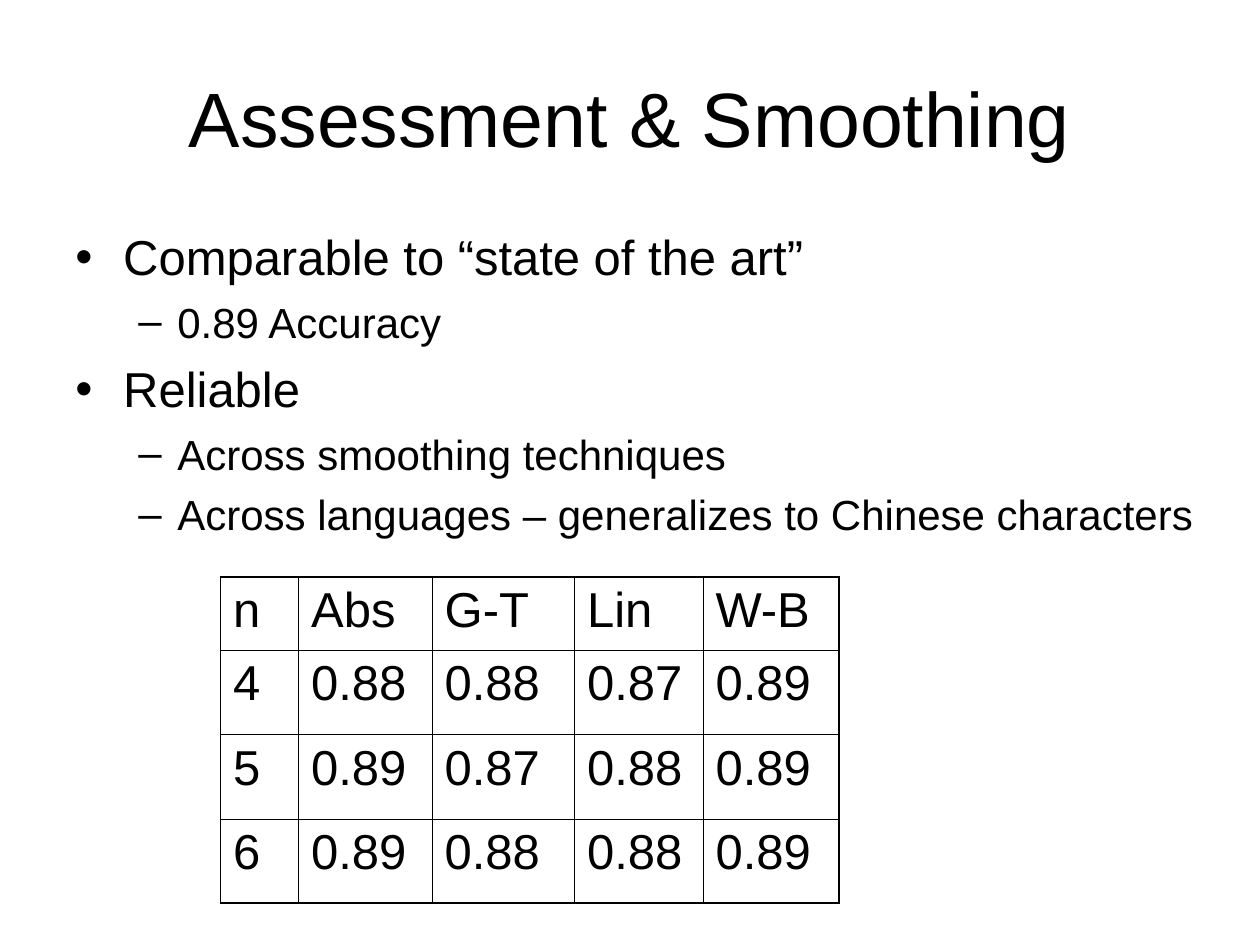
"""Build the slide on assessment results across smoothing techniques."""
from lxml import etree
from pptx import Presentation
from pptx.dml.color import RGBColor
from pptx.enum.text import MSO_ANCHOR, PP_ALIGN
from pptx.oxml.ns import qn
from pptx.util import Inches, Pt

CENTER = PP_ALIGN.CENTER
MIDDLE = MSO_ANCHOR.MIDDLE
TITLE_ONLY = 5
FONT = "Arial"
BLACK = "000000"
THIN, THICK = 0.45, 1.08

# level: bullet, text indent, hanging indent, size, space before
OUTLINE_LEVELS = [("•", 0.38, 0.38, 28, 7), ("–", 0.81, 0.31, 24, 6)]
OUTLINE = [
    (0, "Comparable to “state of the art”"),
    (1, "0.89 Accuracy"),
    (0, "Reliable"),
    (1, "Across smoothing techniques"),
    (1, "Across languages – generalizes to Chinese characters"),
]
ACCURACY = [
    ["n", "Abs", "G-T", "Lin", "W-B"],
    ["4", "0.88", "0.88", "0.87", "0.89"],
    ["5", "0.89", "0.87", "0.88", "0.89"],
    ["6", "0.89", "0.88", "0.88", "0.89"],
]
COLUMN_WIDTHS = [0.62, 1.06, 1.13, 1.02, 1.08]
ROW_HEIGHTS = [0.58, 0.67, 0.67, 0.67]


def color(hex_string):
    """Return the colour for a hex string."""
    return RGBColor.from_string(hex_string)


def set_font(paragraph, size):
    """Give a paragraph the slide's typeface at the given size."""
    paragraph.font.name = FONT
    paragraph.font.size = Pt(size)
    paragraph.font.color.rgb = color(BLACK)


def add_title(slide, text):
    """Fill and place the title."""
    title = slide.shapes.title
    title.left, title.top = Inches(0.5), Inches(0.3)
    title.width, title.height = Inches(9), Inches(1.25)
    title.text_frame.vertical_anchor = MIDDLE
    title.text_frame.text = text
    heading = title.text_frame.paragraphs[0]
    heading.alignment = CENTER
    set_font(heading, 44)


def set_bullet(paragraph, mark, indent, hanging):
    """Give a paragraph a bullet with a hanging indent."""
    properties = paragraph._p.get_or_add_pPr()
    properties.set("marL", str(Inches(indent)))
    properties.set("indent", str(-Inches(hanging)))
    etree.SubElement(properties, qn("a:buFont"), typeface=FONT)
    etree.SubElement(properties, qn("a:buChar"), char=mark)


def add_outline(slide, items):
    """Add the two-level bulleted list."""
    box = slide.shapes.add_textbox(Inches(0.5), Inches(1.75), Inches(9.17), Inches(4.95))
    frame = box.text_frame
    frame.word_wrap = True
    for index, (level, text) in enumerate(items):
        mark, indent, hanging, size, space = OUTLINE_LEVELS[level]
        point = frame.add_paragraph() if index else frame.paragraphs[0]
        point.text = text
        point.level = level
        set_bullet(point, mark, indent, hanging)
        if index:
            point.space_before = Pt(space)
        set_font(point, size)


def set_borders(cell, widths):
    """Draw the cell's left, right, top and bottom borders."""
    properties = cell._tc.get_or_add_tcPr()
    for side, width in zip("LRTB", widths):
        border = etree.SubElement(properties, qn(f"a:ln{side}"), w=str(Pt(width)))
        fill = etree.SubElement(border, qn("a:solidFill"))
        etree.SubElement(fill, qn("a:srgbClr"), val=BLACK)


def add_accuracy_table(slide, rows):
    """Add the accuracy grid with a heavier outer frame."""
    last_row, last_column = len(rows) - 1, len(rows[0]) - 1
    table = slide.shapes.add_table(
        len(rows), len(rows[0]), Inches(1.75), Inches(4.58),
        Inches(sum(COLUMN_WIDTHS)), Inches(sum(ROW_HEIGHTS))).table
    table.first_row = table.horz_banding = False
    for column, width in zip(table.columns, COLUMN_WIDTHS):
        column.width = Inches(width)
    for row, height in zip(table.rows, ROW_HEIGHTS):
        row.height = Inches(height)
    for r, values in enumerate(rows):
        for c, value in enumerate(values):
            cell = table.cell(r, c)
            cell.text = value
            set_font(cell.text_frame.paragraphs[0], 28)
            outer_sides = (c == 0, c == last_column, r == 0, r == last_row)
            set_borders(cell, [THICK if outer else THIN for outer in outer_sides])
            cell.fill.background()


def main():
    """Build and save the slide."""
    presentation = Presentation()
    presentation.slide_width, presentation.slide_height = Inches(10), Inches(7.5)
    slide = presentation.slides.add_slide(presentation.slide_layouts[TITLE_ONLY])
    add_title(slide, "Assessment & Smoothing")
    add_outline(slide, OUTLINE)
    add_accuracy_table(slide, ACCURACY)
    presentation.save("out.pptx")


if __name__ == "__main__":
    main()
